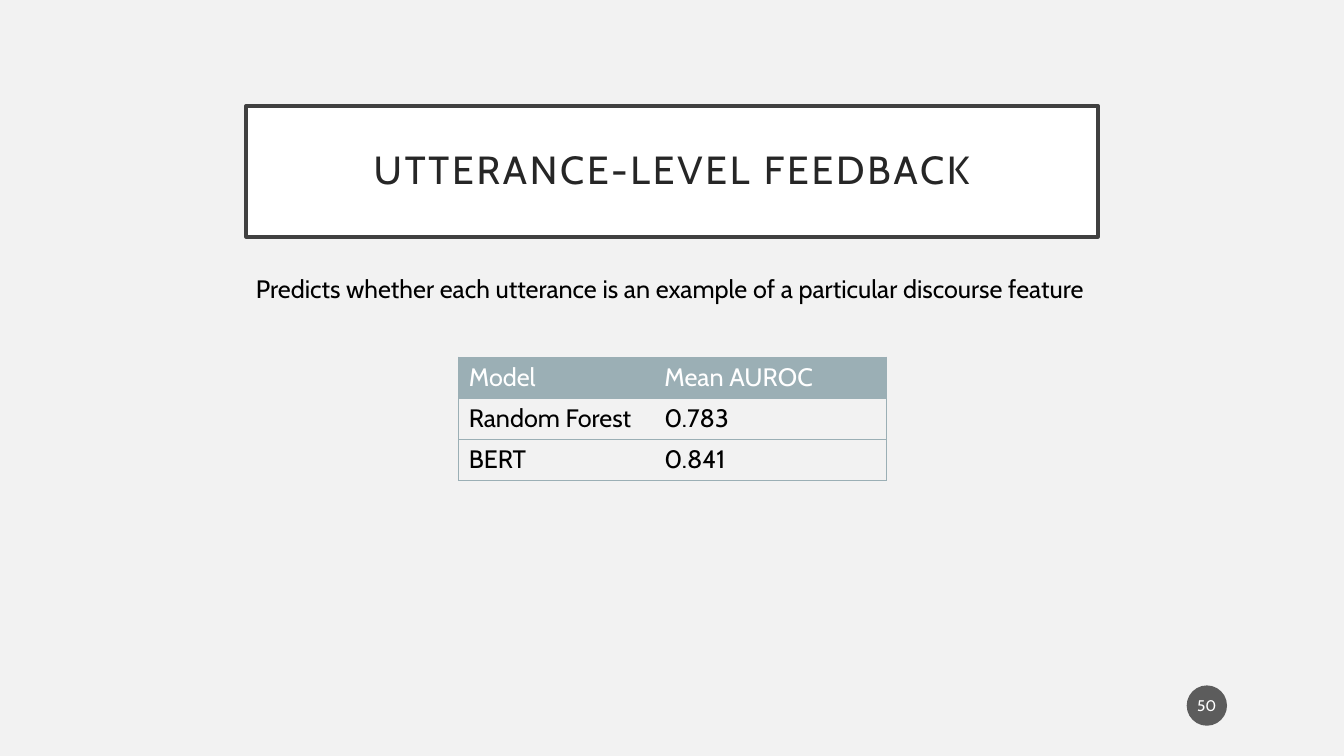
from lxml import etree
from pptx import Presentation
from pptx.dml.color import RGBColor
from pptx.enum.shapes import MSO_SHAPE
from pptx.enum.text import MSO_ANCHOR, MSO_AUTO_SIZE, PP_ALIGN
from pptx.oxml.ns import qn
from pptx.util import Inches, Pt

RECTANGLE, OVAL = MSO_SHAPE.RECTANGLE, MSO_SHAPE.OVAL
MIDDLE, CENTER = MSO_ANCHOR.MIDDLE, PP_ALIGN.CENTER
GROW = MSO_AUTO_SIZE.SHAPE_TO_FIT_TEXT

BACKGROUND = RGBColor(0xF2, 0xF2, 0xF2)
WHITE = RGBColor(0xFF, 0xFF, 0xFF)
BLACK = RGBColor(0x00, 0x00, 0x00)
FRAME = RGBColor(0x40, 0x40, 0x40)
HEADING = RGBColor(0x26, 0x26, 0x26)
BADGE = RGBColor(0x1D, 0x1D, 0x1D)
ACCENT = RGBColor(0x9B, 0xAF, 0xB5)

FONT = "Cabin"
PLAIN_TABLE = "{2D5ABB26-0587-4C30-8999-92F81FD0307C}"
SCORES = [("Model", "Mean AUROC"), ("Random Forest", "0.783"), ("BERT", "0.841")]
COLUMN_WIDTHS = (1.94, 2.3)
ROW_HEIGHT = 0.41


def add_text(paragraph, text, size, color):
    """Add one styled run to a paragraph and return it."""
    run = paragraph.add_run()
    run.text = text
    run.font.name = FONT
    run.font.size = Pt(size)
    run.font.color.rgb = color
    return run


def set_margins(frame, horizontal, vertical):
    """Set the inner margins of a text frame in inches."""
    frame.margin_left = frame.margin_right = Inches(horizontal)
    frame.margin_top = frame.margin_bottom = Inches(vertical)


def add_title(slide, left, top, width, height, text):
    """Place the framed, letter-spaced title."""
    banner = slide.shapes.add_shape(
        RECTANGLE, Inches(left), Inches(top), Inches(width), Inches(height))
    banner.shadow.inherit = False
    banner.fill.solid()
    banner.fill.fore_color.rgb = WHITE
    banner.line.color.rgb = FRAME
    banner.line.width = Pt(2.5)
    frame = banner.text_frame
    frame.word_wrap = True
    frame.vertical_anchor = MIDDLE
    set_margins(frame, 0.2, 0.2)
    heading = frame.paragraphs[0]
    heading.alignment = CENTER
    heading.line_spacing = 0.9
    run = add_text(heading, text, 28, HEADING)
    run.font._element.set("spc", "200")


def add_summary(slide, left, top, width, height, text):
    """Place the one-line description below the title."""
    summary = slide.shapes.add_textbox(
        Inches(left), Inches(top), Inches(width), Inches(height))
    frame = summary.text_frame
    frame.word_wrap = True
    frame.auto_size = GROW
    add_text(frame.paragraphs[0], text, 18, BLACK)


def add_border(cell, side, visible):
    """Draw one cell border, or hide it."""
    border = etree.SubElement(
        cell._tc.get_or_add_tcPr(), qn(f"a:ln{side}"), w=str(Pt(0.5)))
    if visible:
        fill = etree.SubElement(border, qn("a:solidFill"))
        etree.SubElement(fill, qn("a:srgbClr"), val=str(ACCENT))
    else:
        etree.SubElement(border, qn("a:noFill"))


def add_scores(slide, left, top):
    """Place the table of model scores with row rules and an outer frame."""
    last_column = len(COLUMN_WIDTHS) - 1
    table = slide.shapes.add_table(
        len(SCORES), len(COLUMN_WIDTHS), Inches(left), Inches(top),
        Inches(sum(COLUMN_WIDTHS)), Inches(ROW_HEIGHT * len(SCORES))).table
    table.horz_banding = False
    table._tbl.tblPr.find(qn("a:tableStyleId")).text = PLAIN_TABLE
    for column, width in zip(table.columns, COLUMN_WIDTHS):
        column.width = Inches(width)
    for r, labels in enumerate(SCORES):
        table.rows[r].height = Inches(ROW_HEIGHT)
        for c, label in enumerate(labels):
            cell = table.cell(r, c)
            add_border(cell, "L", c == 0)
            add_border(cell, "R", c == last_column)
            add_border(cell, "T", True)
            add_border(cell, "B", True)
            if r == 0:
                cell.fill.solid()
                cell.fill.fore_color.rgb = ACCENT
            else:
                cell.fill.background()
            add_text(cell.text_frame.paragraphs[0], label, 18, BLACK if r else WHITE)


def add_page_number(slide, left, top, size, number):
    """Place the translucent round page number."""
    badge = slide.shapes.add_shape(
        OVAL, Inches(left), Inches(top), Inches(size), Inches(size))
    badge.shadow.inherit = False
    badge.fill.solid()
    badge.fill.fore_color.rgb = BADGE
    tint = badge._element.spPr.find(qn("a:solidFill")).find(qn("a:srgbClr"))
    etree.SubElement(tint, qn("a:alpha"), val="70000")
    badge.line.fill.background()
    frame = badge.text_frame
    frame.vertical_anchor = MIDDLE
    set_margins(frame, 0.02, 0.05)
    frame.paragraphs[0].alignment = CENTER
    add_text(frame.paragraphs[0], number, 11, WHITE)


def main():
    """Build the slide and save it."""
    deck = Presentation()
    deck.slide_width, deck.slide_height = Inches(13.33), Inches(7.5)
    slide = deck.slides.add_slide(deck.slide_layouts[6])
    slide.background.fill.solid()
    slide.background.fill.fore_color.rgb = BACKGROUND
    add_title(slide, 2.44, 1.05, 8.45, 1.3, "UTTERANCE-LEVEL FEEDBACK")
    add_summary(slide, 2.44, 2.66, 8.45, 0.4,
                "Predicts whether each utterance is an example of "
                "a particular discourse feature")
    add_scores(slide, 4.55, 3.54)
    add_page_number(slide, 11.77, 6.8, 0.4, "50")
    deck.save("out.pptx")


if __name__ == "__main__":
    main()
